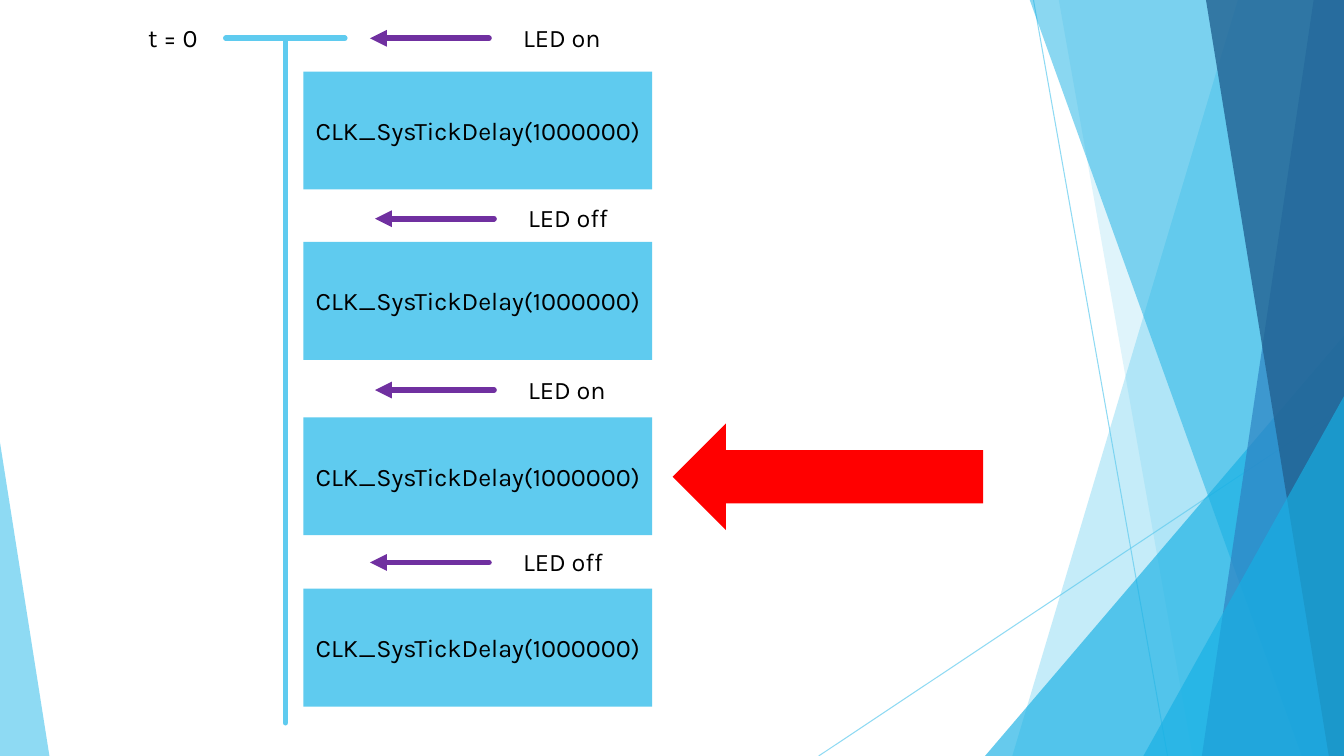
"""Build a slide with the timeline of an LED blinking between blocking delays."""
from lxml.etree import SubElement
from pptx import Presentation
from pptx.dml.color import RGBColor
from pptx.enum.shapes import MSO_CONNECTOR, MSO_SHAPE
from pptx.enum.text import MSO_ANCHOR, MSO_AUTO_SIZE, PP_ALIGN
from pptx.oxml.ns import qn
from pptx.util import Inches, Pt

HUES = {"sky": "5FCBEF", "cyan": "17B0E4", "blue": "2E83C3", "navy": "226292",
        "plum": "7030A0", "red": "FF0000", "ink": "000000"}
FONT, SIZE = "Karla", 18
WIDE, HIGH, TOP = 13.33, 7.5, -0.01

RAYS = [((10.25, 0), (11.58, HIGH)), ((WIDE, 4.03), (8.12, HIGH))]


def band(top, foot):
    """Return the corners of a band that runs to the right edge."""
    return [(top, TOP), (WIDE, TOP), (WIDE, HIGH), (foot, HIGH)]


SHARDS = [
    (band(12.28, 10.04), "sky", 36),
    (band(10.5, 11.83), "sky", 20),
    ([(9.77, HIGH), (WIDE, 3.33), (WIDE, HIGH)], "cyan", 66),
    (band(10.21, 12.91), "cyan", 50),
    (band(13.03, 11.92), "blue", 70),
    (band(11.96, 13.18), "navy", 80),
    ([(11.34, HIGH), (WIDE, 3.93), (WIDE, HIGH)], "cyan", 66),
    ([(0, HIGH), (0, 4.39), (0.49, HIGH)], "sky", 70),
]

CALL = "CLK_SysTickDelay(1000000)"
STEPS = [("LED on", 3.67, 0.38, 0.71), ("LED off", 3.72, 2.17, 2.4),
         ("LED on", 3.72, 3.87, 4.14), ("LED off", 3.67, 5.58, 5.84)]
AXIS, DASH = 2.83, 1.18

deck = Presentation()
deck.slide_width, deck.slide_height = Inches(WIDE), Inches(HIGH)
slide = deck.slides.add_slide(deck.slide_layouts[6])
shapes = slide.shapes


def hue(name):
    """Return the colour of that name."""
    return RGBColor.from_string(HUES[name])


def fade(node, share):
    """Make the colour under a node opaque by the given percentage."""
    clr = next(node.iter(qn("a:srgbClr")))
    SubElement(clr, qn("a:alpha"), val=str(share * 1000))


def paint(shape, name):
    """Give a shape a flat fill with no line or shadow."""
    shape.shadow.inherit = False
    shape.fill.solid()
    shape.fill.fore_color.rgb = hue(name)
    shape.line.fill.background()


def draw(start, end, name, width, head=False):
    """Draw a line, with an arrowhead at its end if asked."""
    line = shapes.add_connector(MSO_CONNECTOR.STRAIGHT,
                                *(Inches(v) for v in (*start, *end)))
    line.line.color.rgb = hue(name)
    line.line.width = Pt(width)
    props = line.element.spPr
    edge = props.find(qn("a:ln"))
    if width > 1:
        edge.set("cap", "rnd")
    if head:
        SubElement(edge, qn("a:tailEnd"), type="triangle")
    SubElement(props, qn("a:effectLst"))
    return edge


def write(shape, text):
    """Put one run of text in a shape."""
    frame = shape.text_frame
    frame.word_wrap = True
    run = frame.paragraphs[0].add_run()
    run.text = text
    run.font.name, run.font.size = FONT, Pt(SIZE)
    run.font.color.rgb = hue("ink")
    return frame


def label(text, left, mid, width):
    """Place a label beside a mark at the given height."""
    box = shapes.add_textbox(Inches(left), Inches(mid - 0.21),
                             Inches(width), Inches(0.4))
    write(box, text).auto_size = MSO_AUTO_SIZE.SHAPE_TO_FIT_TEXT


def block(kind, name, *place):
    """Add a flat preset shape."""
    shape = shapes.add_shape(kind, *(Inches(v) for v in place))
    paint(shape, name)
    return shape


for start, end in RAYS:
    fade(draw(start, end, "sky", 0.75), 70)

for points, name, share in SHARDS:
    first, *rest = [(Inches(x), Inches(y)) for x, y in points]
    pen = shapes.build_freeform(*first)
    pen.add_line_segments(rest, close=True)
    shard = pen.convert_to_shape()
    paint(shard, name)
    fade(shard.element.spPr, share)

zero = STEPS[0][2]
draw((AXIS, zero), (AXIS, 7.17), "sky", 4)
draw((AXIS + DASH / 2, zero), (AXIS - DASH / 2, zero), "sky", 4)
label("t = 0", 1.37, zero, 0.78)

for text, tip, mid, top in STEPS:
    draw((tip + DASH, mid), (tip, mid), "plum", 4, head=True)
    label(text, tip + 1.42, mid, 1.02)
    frame = write(block(MSO_SHAPE.RECTANGLE, "sky", 3.01, top, 3.46, 1.17), CALL)
    frame.vertical_anchor = MSO_ANCHOR.MIDDLE
    frame.paragraphs[0].alignment = PP_ALIGN.CENTER

block(MSO_SHAPE.LEFT_ARROW, "red", 6.67, 4.2, 3.08, 1.06)

deck.save("out.pptx")
